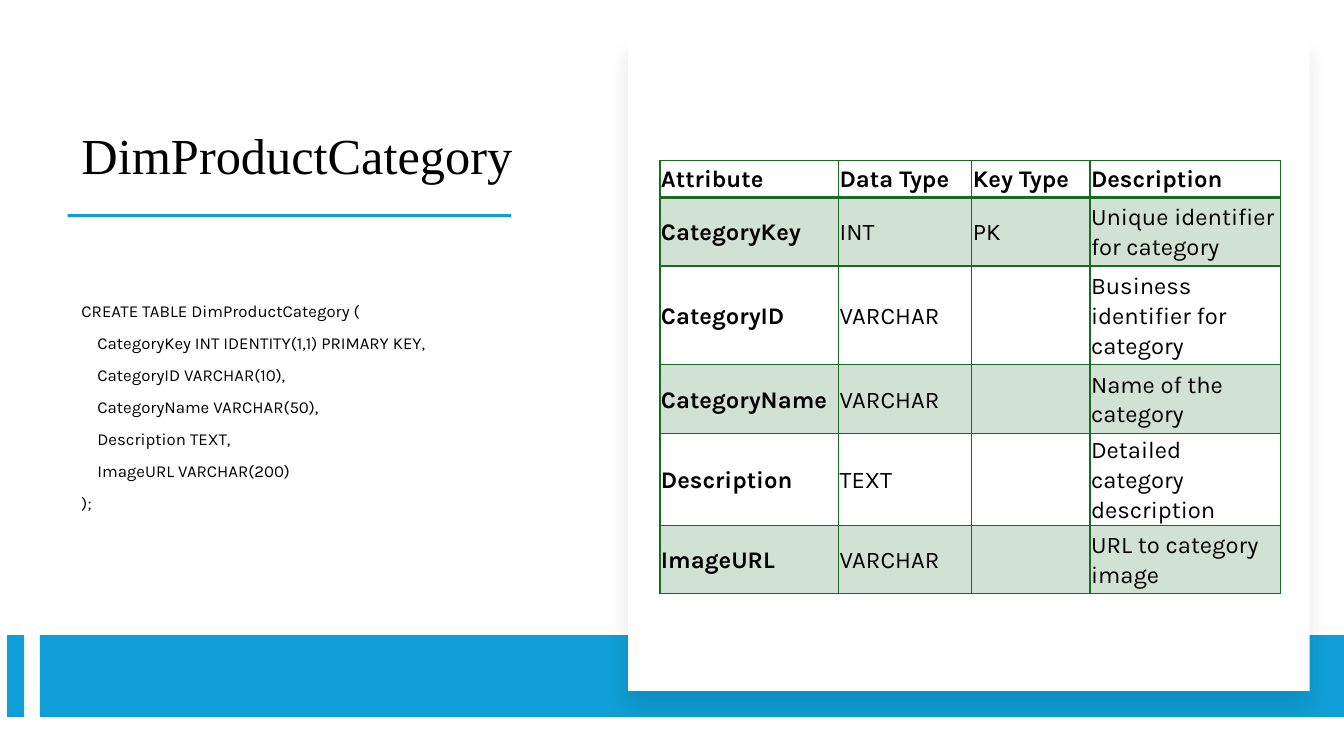
from dataclasses import dataclass

from lxml import etree
from pptx import Presentation
from pptx.dml.color import RGBColor
from pptx.enum.shapes import MSO_SHAPE
from pptx.enum.text import MSO_ANCHOR, MSO_AUTO_SIZE, PP_ALIGN
from pptx.oxml import parse_xml
from pptx.util import Pt

RECTANGLE = MSO_SHAPE.RECTANGLE
MIDDLE, BOTTOM = MSO_ANCHOR.MIDDLE, MSO_ANCHOR.BOTTOM
LEFT = PP_ALIGN.LEFT
NO_AUTOFIT = MSO_AUTO_SIZE.NONE
DRAWING = "http://schemas.openxmlformats.org/drawingml/2006/main"


@dataclass(frozen=True)
class Theme:
    accent: str = "0F9ED5"
    green: str = "196B24"
    text: str = "000000"
    card: str = "FFFFFF"
    band_opacity: int = 20
    shadow_opacity: int = 10
    title_font: str = "Times New Roman"
    body_font: str = "Karla"
    title_size: int = 36
    code_size: int = 12
    table_size: int = 17


THEME = Theme()

CODE = [
    "CREATE TABLE DimProductCategory (",
    "    CategoryKey INT IDENTITY(1,1) PRIMARY KEY,",
    "    CategoryID VARCHAR(10),",
    "    CategoryName VARCHAR(50),",
    "    Description TEXT,",
    "    ImageURL VARCHAR(200)",
    ");",
]

ATTRIBUTES = [
    ("Attribute", "Data Type", "Key Type", "Description"),
    ("CategoryKey", "INT", "PK", "Unique identifier for category"),
    ("CategoryID", "VARCHAR", "", "Business identifier for category"),
    ("CategoryName", "VARCHAR", "", "Name of the category"),
    ("Description", "TEXT", "", "Detailed category description"),
    ("ImageURL", "VARCHAR", "", "URL to category image"),
]
COLUMN_WIDTHS = [127.6, 95.2, 84.4, 136]
ROW_HEIGHTS = [26.6, 49, 70.6, 49, 49, 49]


def apply_format(target, values):
    for name, value in values.items():
        setattr(target, name, value)


def set_font(font, name, size, bold=False):
    apply_format(font, {"name": name, "size": Pt(size), "bold": bold})
    font.color.rgb = RGBColor.from_string(THEME.text)


def place(shape, left, top, width, height):
    apply_format(shape, {"left": Pt(left), "top": Pt(top),
                         "width": Pt(width), "height": Pt(height)})


def fill_placeholder(shape, lines, box, anchor, font_name, size, space_before):
    place(shape, *box)
    frame = shape.text_frame
    apply_format(frame, {"word_wrap": True, "auto_size": NO_AUTOFIT,
                         "vertical_anchor": anchor})
    for index, line in enumerate(lines):
        paragraph = frame.paragraphs[0] if index == 0 else frame.add_paragraph()
        properties = paragraph._p.get_or_add_pPr()
        properties.set("marL", "0")
        properties.set("indent", "0")
        etree.SubElement(properties, f"{{{DRAWING}}}buNone")
        apply_format(paragraph, {"alignment": LEFT, "line_spacing": 0.9,
                                 "space_before": Pt(space_before if index else 0)})
        run = paragraph.add_run()
        run.text = line
        set_font(run.font, font_name, size)


def add_block(slide, box, color):
    shape = slide.shapes.add_shape(RECTANGLE, *map(Pt, box))
    shape.shadow.inherit = False
    shape.fill.solid()
    shape.fill.fore_color.rgb = RGBColor.from_string(color)
    shape.line.fill.background()
    return shape


def add_shadow(shape):
    effects = shape._element.spPr.find(f"{{{DRAWING}}}effectLst")
    effects.append(parse_xml(
        f'<a:outerShdw xmlns:a="{DRAWING}" blurRad="{Pt(15)}" dist="{Pt(11)}" '
        f'dir="5400000" algn="t" rotWithShape="0"><a:srgbClr val="{THEME.text}">'
        f'<a:alpha val="{THEME.shadow_opacity * 1000}"/></a:srgbClr></a:outerShdw>'))


def add_border(cell, side, width):
    cell._tc.get_or_add_tcPr().append(parse_xml(
        f'<a:ln{side} xmlns:a="{DRAWING}" w="{Pt(width)}"><a:solidFill>'
        f'<a:srgbClr val="{THEME.green}"/></a:solidFill></a:ln{side}>'))


def shade_cell(cell, banded):
    if not banded:
        cell.fill.background()
        return
    cell.fill.solid()
    cell.fill.fore_color.rgb = RGBColor.from_string(THEME.green)
    color = cell._tc.tcPr.find(f"{{{DRAWING}}}solidFill")[0]
    alpha = etree.SubElement(color, f"{{{DRAWING}}}alpha")
    alpha.set("val", str(THEME.band_opacity * 1000))


def format_cell(cell, text, row, column):
    inset = Pt(0.75)
    apply_format(cell, {"text": text, "vertical_anchor": MIDDLE,
                        "margin_left": inset, "margin_right": inset,
                        "margin_top": inset, "margin_bottom": inset})
    # The line under the header is heavier than the rest
    widths = {"L": 1, "R": 1, "T": 2 if row == 1 else 1, "B": 2 if row == 0 else 1}
    for side, width in widths.items():
        add_border(cell, side, width)
    shade_cell(cell, banded=row % 2 == 1)
    paragraph = cell.text_frame.paragraphs[0]
    apply_format(paragraph, {"line_spacing": 1.07, "space_after": Pt(12)})
    bold = row == 0 or column == 0
    set_font(paragraph.font, THEME.body_font, THEME.table_size, bold)
    for run in paragraph.runs:
        set_font(run.font, THEME.body_font, THEME.table_size, bold)


def add_attribute_table(slide, left, top):
    frame = slide.shapes.add_table(
        len(ATTRIBUTES), len(COLUMN_WIDTHS), Pt(left), Pt(top),
        Pt(sum(COLUMN_WIDTHS)), Pt(sum(ROW_HEIGHTS)))
    table = frame.table
    apply_format(table, {"first_row": False, "horz_banding": False})
    for column, width in zip(table.columns, COLUMN_WIDTHS):
        column.width = Pt(width)
    for row, height in zip(table.rows, ROW_HEIGHTS):
        row.height = Pt(height)
    for row, texts in enumerate(ATTRIBUTES):
        for column, text in enumerate(texts):
            format_cell(table.cell(row, column), text, row, column)


def main():
    presentation = Presentation()
    apply_format(presentation, {"slide_width": Pt(960), "slide_height": Pt(540)})
    slide = presentation.slides.add_slide(presentation.slide_layouts[1])

    # Title and SQL definition
    fill_placeholder(slide.shapes.title, ["DimProductCategory"],
                     (51, 42, 337, 94), BOTTOM,
                     THEME.title_font, THEME.title_size, 0)
    fill_placeholder(slide.placeholders[1], CODE, (51, 160, 337, 263), MIDDLE,
                     THEME.body_font, THEME.code_size, 10)

    # Title rule and footer bars
    for box in [(48.4, 153, 316.8, 2.2), (5.2, 453.7, 12.2, 58.3),
                (28.4, 453.7, 931.6, 58.3)]:
        add_block(slide, box, THEME.accent)

    # Card with the attribute table
    card = add_block(slide, (448.6, 28, 486.8, 465.6), THEME.card)
    add_shadow(card)
    add_attribute_table(slide, 471.4, 114.5)

    presentation.save("out.pptx")


if __name__ == "__main__":
    main()
